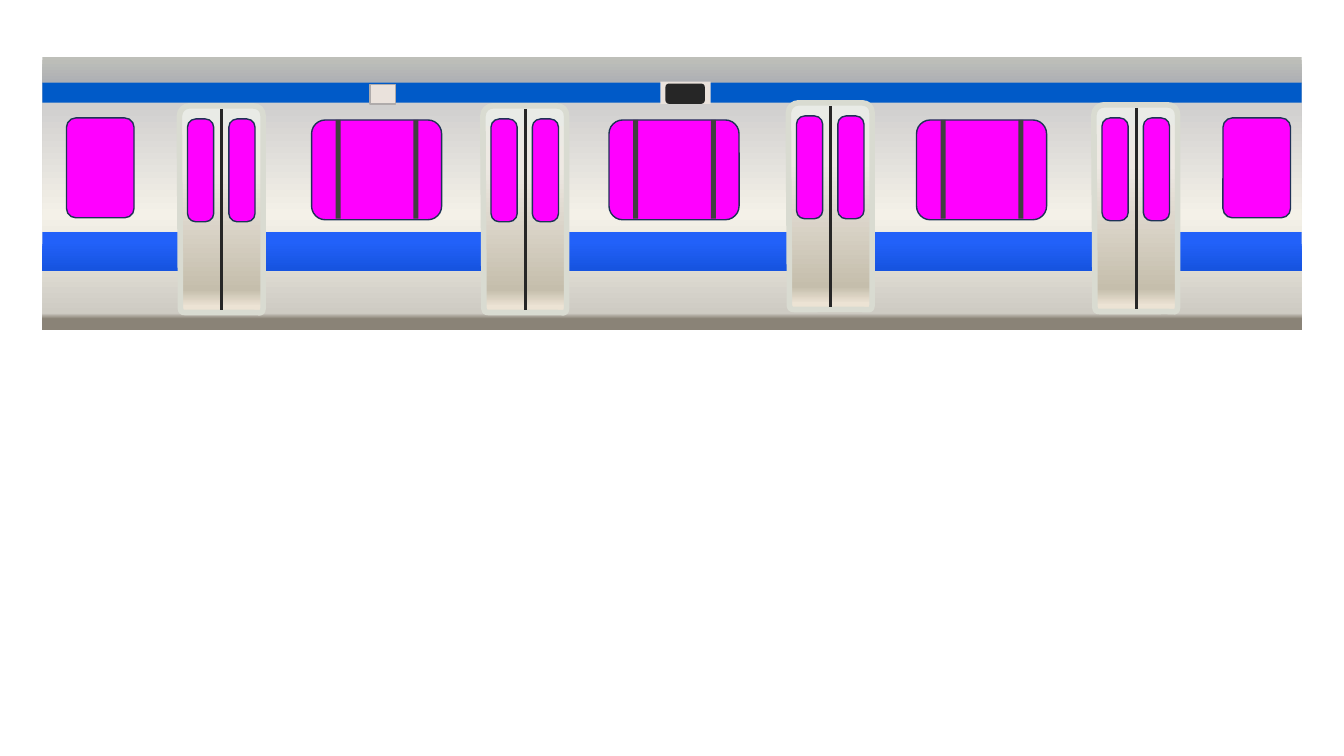
from dataclasses import dataclass

from lxml import etree
from pptx import Presentation
from pptx.dml.color import RGBColor
from pptx.enum import shapes as kinds
from pptx.oxml.ns import qn
from pptx.util import Inches, Pt


@dataclass(frozen=True)
class Theme:
    body: tuple = ((0, "BEBFB9"), (9, "AEB0B4"), (10, "CAC9CA"),
                   (58, "F4F1E8"), (94, "CECBC3"), (96, "8A8377"))
    lower_stripe: tuple = ((25, "2261F9"), (96, "1654E0"))
    door: tuple = ((0, "E9EBE6"), (29, "EEE9E3"), (89, "C5BEAC"), (97, "ECE3D4"))
    upper_stripe: str = "005AC8"
    glass: str = "FF00FF"
    bar: str = "404040"
    dark: str = "262626"
    panel: str = "EAE2DC"
    glass_edge: tuple = ("1E3256", 1)
    door_edge: tuple = ("D9DBD1", 4)
    seam: tuple = ("262626", 2)
    panel_edge: tuple = ("AFABAB", 1)


# Door outline from its top left corner: straight runs have one point, curves three.
DOOR_START = (0, 0.1)
DOOR_OUTLINE = (
    ((0, 0.04), (0.05, 0), (0.1, 0)),
    ((0.73, 0),),
    ((0.79, 0), (0.83, 0.04), (0.83, 0.1)),
    ((0.83, 2.01),),
    ((0.83, 2.07), (0.79, 2.05), (0.73, 2.05)),
    ((0.1, 2.05),),
    ((0.05, 2.05), (0.01, 2.06), (0.01, 2.01)),
    ((0.01, 1.39), (0, 0.71), DOOR_START),
)


class CarriageSlide:
    def __init__(self, slide, theme):
        self.slide = slide
        self.theme = theme

    def _outline(self, line, edge):
        colour, width = edge
        line.color.rgb = RGBColor.from_string(colour)
        line.width = Pt(width)

    def _finish(self, shape, fill, edge):
        """Apply a solid colour or a downward gradient, and an optional edge."""
        shape.shadow.inherit = False
        if isinstance(fill, str):
            shape.fill.solid()
            shape.fill.fore_color.rgb = RGBColor.from_string(fill)
        else:
            shape.fill.gradient()
            shape.fill.gradient_angle = 270
            stops = next(shape._element.iter(qn("a:gsLst")))
            for stop in list(stops):
                stops.remove(stop)
            for position, colour in fill:
                stop = etree.SubElement(stops, qn("a:gs"), pos=str(position * 1000))
                etree.SubElement(stop, qn("a:srgbClr"), val=colour)
        if edge:
            self._outline(shape.line, edge)
        else:
            shape.line.fill.background()

    def block(self, left, top, width, height, fill, edge=None, corner=None):
        kind = kinds.MSO_SHAPE.RECTANGLE if corner is None else kinds.MSO_SHAPE.ROUNDED_RECTANGLE
        shape = self.slide.shapes.add_shape(
            kind, Inches(left), Inches(top), Inches(width), Inches(height))
        if corner is not None:
            shape.adjustments[0] = corner
        self._finish(shape, fill, edge)

    def pane(self, left, top, width, height, corner=0.138):
        self.block(left, top, width, height, self.theme.glass, self.theme.glass_edge, corner)

    def end_window(self, left):
        self.pane(left, 1.17, 0.67, 0.99)

    def barred_window(self, left, top=1.19):
        self.pane(left, top, 1.29, 0.99)
        for offset in (0.24, 1.01):
            self.block(left + offset, top, 0.05, 0.98, self.theme.bar)

    def seam(self, x, top, bottom):
        line = self.slide.shapes.add_connector(
            kinds.MSO_CONNECTOR.STRAIGHT, Inches(x), Inches(top), Inches(x), Inches(bottom))
        self._outline(line.line, self.theme.seam)
        etree.SubElement(line._element.spPr, qn("a:effectLst"))

    def door_frame(self, left, top):
        """Draw the outline through its end points, then bend the curved runs."""
        corners = [(Inches(left + x), Inches(top + y))
                   for x, y in (DOOR_START, *(run[-1] for run in DOOR_OUTLINE))]
        builder = self.slide.shapes.build_freeform(*corners[0])
        builder.add_line_segments(corners[1:], close=True)
        frame = builder.convert_to_shape()
        segments = list(frame._element.iter(qn("a:lnTo")))
        for segment, run in zip(segments, DOOR_OUTLINE):
            if len(run) == 3:
                curve = etree.Element(qn("a:cubicBezTo"))
                for x, y in run:
                    etree.SubElement(curve, qn("a:pt"), x=str(Inches(x)), y=str(Inches(y)))
                segment.getparent().replace(segment, curve)
        self._finish(frame, self.theme.door, self.theme.door_edge)

    def door(self, left, top):
        self.door_frame(left, top)
        self.seam(left + 0.42, top + 0.03, top + 2.03)
        for offset in (0.08, 0.49):
            self.pane(left + offset, top + 0.13, 0.26, 1.02, corner=0.314)


def main():
    deck = Presentation()
    deck.slide_width, deck.slide_height = Inches(13.33), Inches(7.5)
    theme = Theme()
    carriage = CarriageSlide(deck.slides.add_slide(deck.slide_layouts[6]), theme)

    for top, height, fill in ((0.57, 2.7, theme.body),
                              (0.82, 0.2, theme.upper_stripe),
                              (2.3, 0.39, theme.lower_stripe)):
        carriage.block(0.42, top, 12.49, height, fill)
    for left, top in ((4.79, 1.05), (7.82, 1.02), (10.85, 1.04)):
        carriage.door(left, top)
    for left in (6.04, 9.09):
        carriage.barred_window(left)

    carriage.block(3.67, 0.84, 0.25, 0.19, theme.panel, theme.panel_edge)
    carriage.block(6.55, 0.81, 0.5, 0.22, theme.panel)
    carriage.block(6.6, 0.83, 0.39, 0.2, theme.dark, corner=0.167)

    carriage.end_window(12.13)
    carriage.barred_window(3.09)
    carriage.door(1.78, 1.05)
    carriage.end_window(0.66)
    deck.save("out.pptx")


if __name__ == "__main__":
    main()
